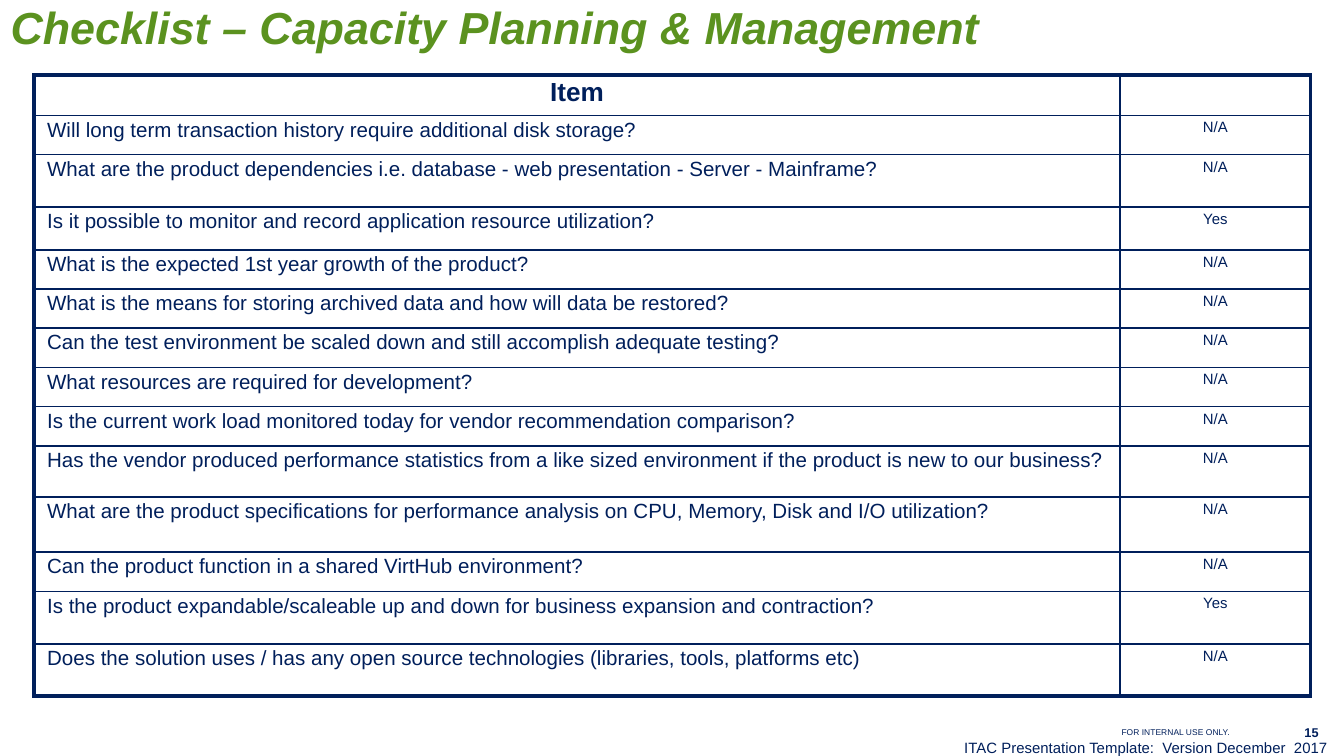
from lxml import etree
from pptx import Presentation
from pptx.dml.color import RGBColor
from pptx.enum.text import PP_ALIGN
from pptx.oxml.ns import qn
from pptx.util import Cm, Pt

LEFT, CENTER, RIGHT = PP_ALIGN.LEFT, PP_ALIGN.CENTER, PP_ALIGN.RIGHT
NAVY, GREEN, WHITE = "001F5B", "5B921F", "FFFFFF"
THICK, THIN = 2.25, 1

TITLE = "Checklist – Capacity Planning & Management"
CHECKLIST = [
    ("Item", "", 0.76),
    ("Will long term transaction history require additional disk storage?", "N/A", 0.74),
    ("What are the product dependencies i.e. database - web presentation - Server - Mainframe?", "N/A", 0.99),
    ("Is it possible to monitor and record application resource utilization?", "Yes", 0.81),
    ("What is the expected 1st year growth of the product?", "N/A", 0.74),
    ("What is the means for storing archived data and how will data be restored?", "N/A", 0.74),
    ("Can the test environment be scaled down and still accomplish adequate testing?", "N/A", 0.74),
    ("What resources are required for development?", "N/A", 0.74),
    ("Is the current work load monitored today for vendor recommendation comparison?", "N/A", 0.74),
    ("Has the vendor produced performance statistics from a like sized environment "
     "if the product is new to our business?", "N/A", 0.97),
    ("What are the product specifications for performance analysis on CPU, Memory, "
     "Disk and I/O utilization?", "N/A", 1.04),
    ("Can the product function in a shared VirtHub environment?", "N/A", 0.74),
    ("Is the product expandable/scaleable up and down for business expansion and contraction?", "Yes", 0.99),
    ("Does the solution uses / has any open source technologies "
     "(libraries, tools, platforms etc)", "N/A", 0.99),
]
COLUMN_WIDTHS = (20.53, 3.6)
FOOTERS = [
    ("15", (23.7, 13.56, 1.47, 0.53), 6.8, True),
    ("FOR INTERNAL USE ONLY.", (13.13, 13.61, 10.36, 0.46), 4.5, False),
    ("ITAC Presentation Template:  Version December  2017", (17.48, 13.82, 7.87, 0.61), 8, False),
]


def color(value):
    return RGBColor.from_string(value)


def write(para, text, size, align, bold=False, italic=False, ink=NAVY):
    para.text = text
    para.alignment = align
    font = para.font
    font.name, font.size, font.bold, font.italic = "Arial", Pt(size), bold, italic
    font.color.rgb = color(ink)


def add_text(page, place, *args, **style):
    box = page.shapes.add_textbox(*map(Cm, place))
    box.text_frame.word_wrap = True
    write(box.text_frame.paragraphs[0], *args, **style)
    return box


def set_borders(cell, widths):
    properties = cell._tc.get_or_add_tcPr()
    for index, (side, width) in enumerate(zip("LRTB", widths)):
        line = etree.Element(qn(f"a:ln{side}"), w=str(Pt(width)))
        fill = etree.SubElement(line, qn("a:solidFill"))
        etree.SubElement(fill, qn("a:srgbClr"), val=NAVY)
        properties.insert(index, line)


def add_checklist(page):
    heights = [row[2] for row in CHECKLIST]
    last = len(CHECKLIST) - 1
    frame = page.shapes.add_table(len(CHECKLIST), 2, Cm(0.64), Cm(1.42),
                                  Cm(sum(COLUMN_WIDTHS)), Cm(sum(heights)))
    table = frame.table
    for column, width in zip(table.columns, COLUMN_WIDTHS):
        column.width = Cm(width)
    for row_index, (question, answer, height) in enumerate(CHECKLIST):
        table.rows[row_index].height = Cm(height)
        header = row_index == 0
        for column_index, text in enumerate((question, answer)):
            cell = table.cell(row_index, column_index)
            cell.margin_left = cell.margin_right = Cm(0.25)
            cell.margin_top = cell.margin_bottom = Cm(0.1)
            if header:
                cell.fill.solid()
                cell.fill.fore_color.rgb = color(WHITE)
            else:
                cell.fill.background()
            is_answer = column_index == 1
            size = 8 if is_answer else 14 if header else 11
            para = cell.text_frame.paragraphs[0]
            write(para, text, size, CENTER if header or is_answer else LEFT, bold=header)
            para.line_spacing = 0.9
            if not text:
                etree.SubElement(para._p, qn("a:endParaRPr"), sz=str(size * 100))
            outer = (not is_answer, is_answer, header, row_index == last)
            set_borders(cell, [THICK if edge else THIN for edge in outer])


deck = Presentation()
deck.slide_width, deck.slide_height = Cm(25.4), Cm(14.28)
page = deck.slides.add_slide(deck.slide_layouts[6])

title = add_text(page, (0.2, 0, 19.58, 1.52), TITLE, 24, LEFT, bold=True, italic=True, ink=GREEN)
title_frame = title.text_frame
title_frame.margin_left = title_frame.margin_right = 0
title_frame.margin_top = title_frame.margin_bottom = 0

add_checklist(page)
for text, place, size, bold in FOOTERS:
    add_text(page, place, text, size, RIGHT, bold=bold)

deck.save("out.pptx")
